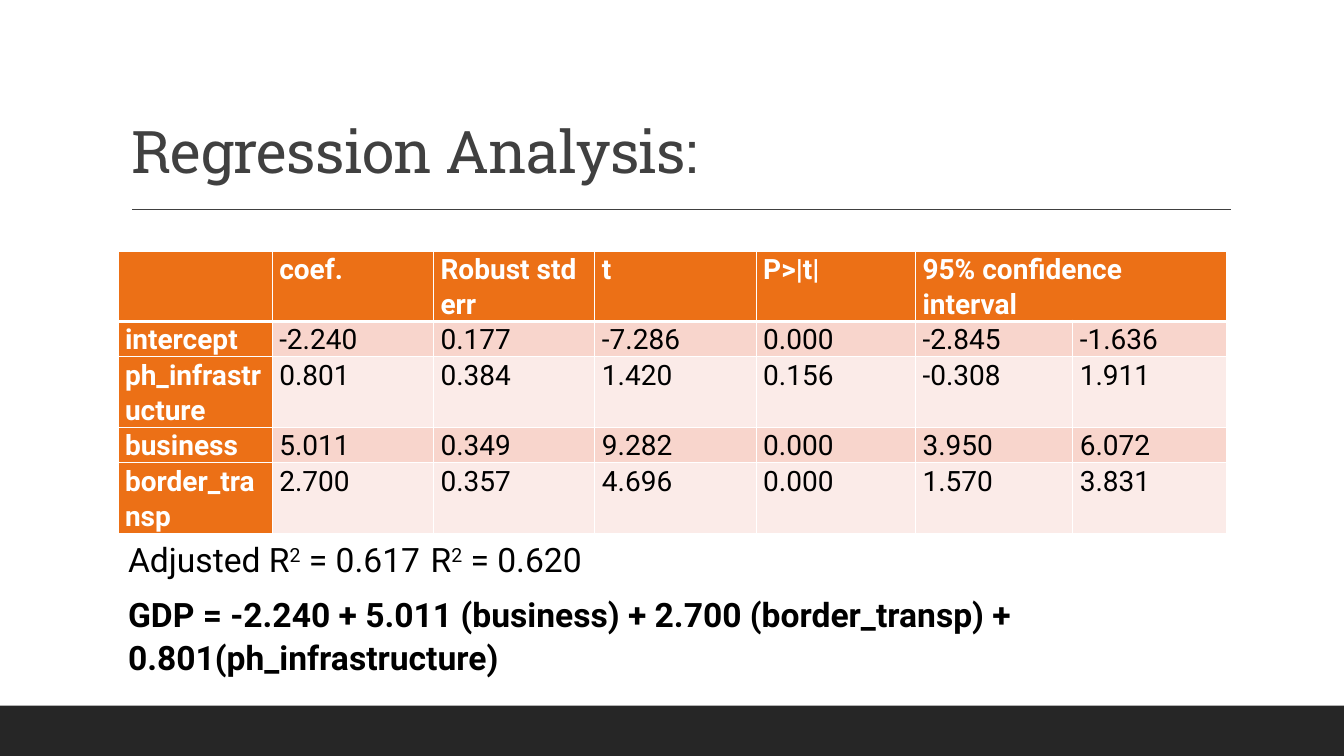
from dataclasses import dataclass

from lxml import etree
from pptx import Presentation
from pptx.dml.color import RGBColor
from pptx.enum.shapes import MSO_CONNECTOR, MSO_SHAPE
from pptx.enum.text import MSO_ANCHOR, MSO_AUTO_SIZE, PP_ALIGN
from pptx.oxml.ns import qn
from pptx.util import Inches, Pt

LEFT = PP_ALIGN.LEFT
TOP, BOTTOM = MSO_ANCHOR.TOP, MSO_ANCHOR.BOTTOM
NO_AUTOFIT = MSO_AUTO_SIZE.NONE
RECT, STRAIGHT = MSO_SHAPE.RECTANGLE, MSO_CONNECTOR.STRAIGHT


@dataclass(frozen=True)
class Theme:
    title_font: str = "Roboto Slab"
    body_font: str = "Roboto"
    title_size: int = 42
    table_size: int = 20
    body_size: int = 24
    title: str = "404040"
    text: str = "000000"
    white: str = "FFFFFF"
    accent: str = "EC7016"
    bands: tuple = ("F8D5CC", "FBEBE8")
    footer: str = "262626"


THEME = Theme()
PARAGRAPH = {"alignment": LEFT, "line_spacing": 1.07,
             "space_before": Pt(0), "space_after": Pt(8)}
CELL_MARGINS = {"margin_left": Inches(0.07), "margin_right": Inches(0.07),
                "margin_top": 0, "margin_bottom": 0}
COLUMN_WIDTHS = [1.53, 1.6, 1.6, 1.6, 1.58, 1.56, 1.53]
LINE_HEIGHT = 0.35
ROW_LINES = [2, 1, 2, 1, 2]
ROWS = [
    ["", "coef.", "Robust std err", "t", "P>|t|", "95% confidence interval", ""],
    ["intercept", "-2.240", "0.177", "-7.286", "0.000", "-2.845", "-1.636"],
    ["ph_infrastructure", "0.801", "0.384", "1.420", "0.156", "-0.308", "1.911"],
    ["business", "5.011", "0.349", "9.282", "0.000", "3.950", "6.072"],
    ["border_transp", "2.700", "0.357", "4.696", "0.000", "1.570", "3.831"],
]
FIT = [("Adjusted R", False), ("2", True), (" = 0.617\tR", False),
       ("2", True), (" = 0.620", False)]
EQUATION = ("GDP = -2.240 + 5.011 (business) + 2.700 (border_transp) + "
            "0.801(ph_infrastructure)")


def set_attrs(obj, values):
    for name, value in values.items():
        setattr(obj, name, value)


def add_run(p, text, font, size, color, bold=False):
    r = p.add_run()
    r.text = text
    set_attrs(r.font, {"name": font, "size": Pt(size), "bold": bold})
    r.font.color.rgb = RGBColor.from_string(color)
    return r


def place(sp, box):
    names = ("left", "top", "width", "height")
    set_attrs(sp, {name: Inches(v) for name, v in zip(names, box)})


def add_border(cell, side, width):
    tcPr = cell._tc.get_or_add_tcPr()
    ln = etree.SubElement(tcPr, qn(f"a:ln{side}"), w=str(Pt(width)))
    fill = etree.SubElement(ln, qn("a:solidFill"))
    etree.SubElement(fill, qn("a:srgbClr"), val=THEME.white)


def draw_frame(slide, box):
    """Footer band and the rule under the title."""
    x, y, w, h = box
    band = slide.shapes.add_shape(
        RECT, Inches(x), Inches(y + h - 0.5), Inches(w), Inches(0.5))
    band.shadow.inherit = False
    band.fill.solid()
    band.fill.fore_color.rgb = RGBColor.from_string(THEME.footer)
    band.line.fill.background()

    rule = slide.shapes.add_connector(
        STRAIGHT, Inches(x + 1.31), Inches(y + 2.08),
        Inches(x + 12.21), Inches(y + 2.08))
    rule.line.color.rgb = RGBColor.from_string(THEME.title)
    rule.line.width = Pt(1)
    etree.SubElement(rule._element.spPr, qn("a:effectLst"))


def draw_title(slide, box):
    sp = slide.shapes.title
    place(sp, box)
    tf = sp.text_frame
    set_attrs(tf, {"vertical_anchor": BOTTOM, "word_wrap": True,
                   "auto_size": NO_AUTOFIT})
    p = tf.paragraphs[0]
    set_attrs(p, {"alignment": LEFT, "line_spacing": 0.9})
    r = add_run(p, "Regression Analysis:", THEME.title_font,
                THEME.title_size, THEME.title)
    r._r.get_or_add_rPr().set("spc", "-50")


def draw_table(slide, box):
    frame = slide.shapes.add_table(
        len(ROWS), len(COLUMN_WIDTHS), *(Inches(v) for v in box))
    table = frame.table
    for column, width in zip(table.columns, COLUMN_WIDTHS):
        column.width = Inches(width)
    for row, lines in zip(table.rows, ROW_LINES):
        row.height = Inches(lines * LINE_HEIGHT)
    table.cell(0, 5).merge(table.cell(0, 6))

    for i, values in enumerate(ROWS):
        for j, text in enumerate(values):
            cell = table.cell(i, j)
            heading = i == 0 or j == 0
            set_attrs(cell, CELL_MARGINS)
            # The line below the header row is heavier
            widths = {"L": 1, "R": 1, "T": 3 if i == 1 else 1,
                      "B": 3 if i == 0 else 1}
            for side, width in widths.items():
                add_border(cell, side, width)
            cell.fill.solid()
            cell.fill.fore_color.rgb = RGBColor.from_string(
                THEME.accent if heading else THEME.bands[(i - 1) % 2])
            if text:
                p = cell.text_frame.paragraphs[0]
                set_attrs(p, PARAGRAPH)
                add_run(p, text, THEME.body_font, THEME.table_size,
                        THEME.white if heading else THEME.text, heading)


def draw_summary(slide, box):
    """Goodness of fit and the fitted equation."""
    sp = slide.placeholders[1]
    place(sp, box)
    tf = sp.text_frame
    set_attrs(tf, {"vertical_anchor": TOP, "word_wrap": True,
                   "auto_size": NO_AUTOFIT})
    fit, equation = tf.paragraphs[0], tf.add_paragraph()
    for p in (fit, equation):
        set_attrs(p, PARAGRAPH)
        pPr = p._p.get_or_add_pPr()
        pPr.set("marL", "0")
        pPr.set("indent", "0")
        etree.SubElement(pPr, qn("a:buNone"))

    # A tab stop sets the second value apart
    tabs = etree.SubElement(fit._p.get_or_add_pPr(), qn("a:tabLst"))
    etree.SubElement(tabs, qn("a:tab"), pos=str(Inches(6.78)), algn="l")
    for text, raised in FIT:
        r = add_run(fit, text, THEME.body_font, THEME.body_size, THEME.text)
        if raised:
            r._r.get_or_add_rPr().set("baseline", "30000")
    add_run(equation, EQUATION, THEME.body_font, THEME.body_size,
            THEME.text, True)


def main():
    prs = Presentation()
    prs.slide_width, prs.slide_height = Inches(13.33), Inches(7.5)
    slide = prs.slides.add_slide(prs.slide_layouts[1])
    draw_frame(slide, (0, 0, 13.33, 7.5))
    draw_title(slide, (1.2, 0.31, 11, 1.59))
    draw_table(slide, (1.17, 2.49, 11, LINE_HEIGHT * sum(ROW_LINES)))
    draw_summary(slide, (1.17, 5.27, 11.47, 1.7))
    prs.save("out.pptx")


if __name__ == "__main__":
    main()
